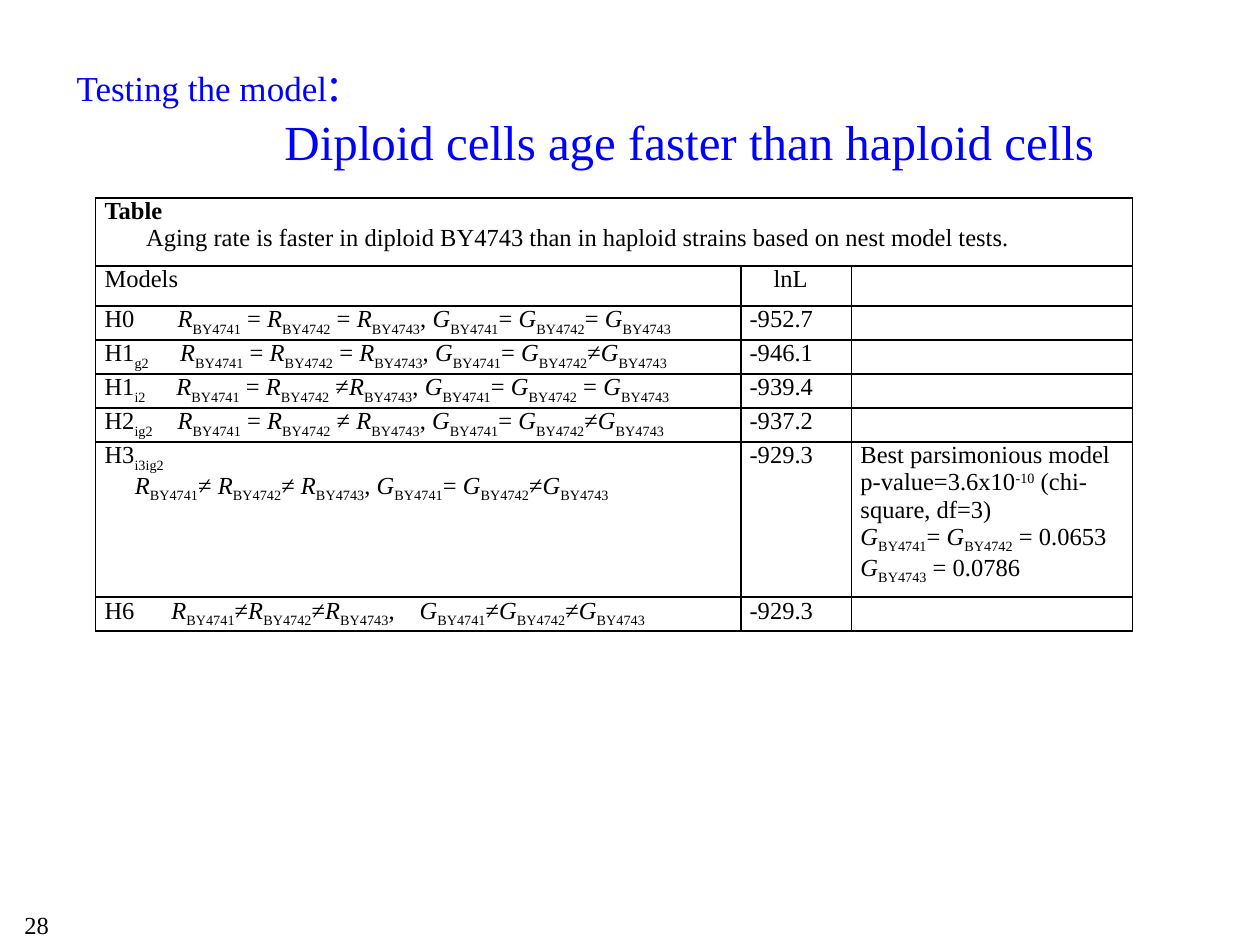
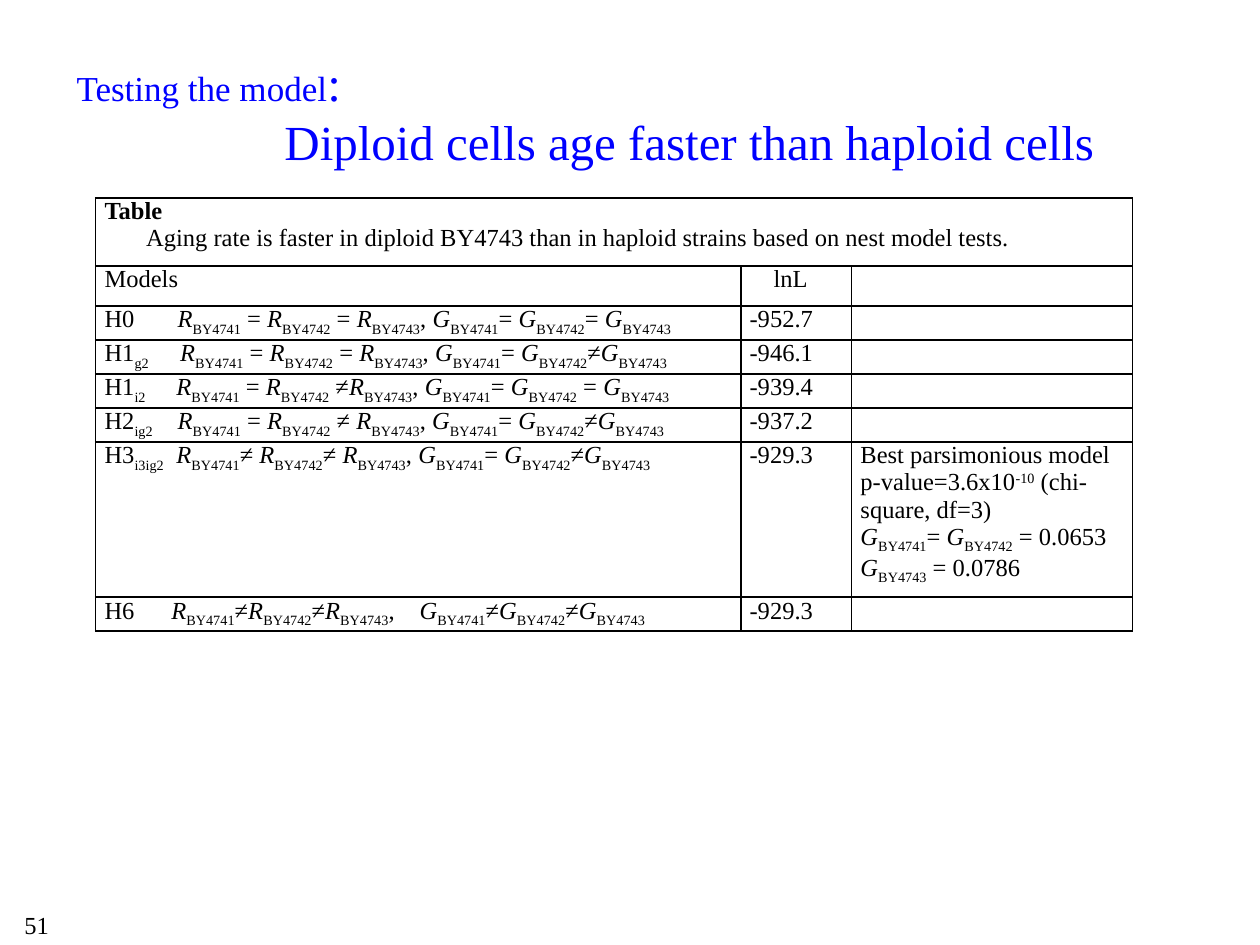
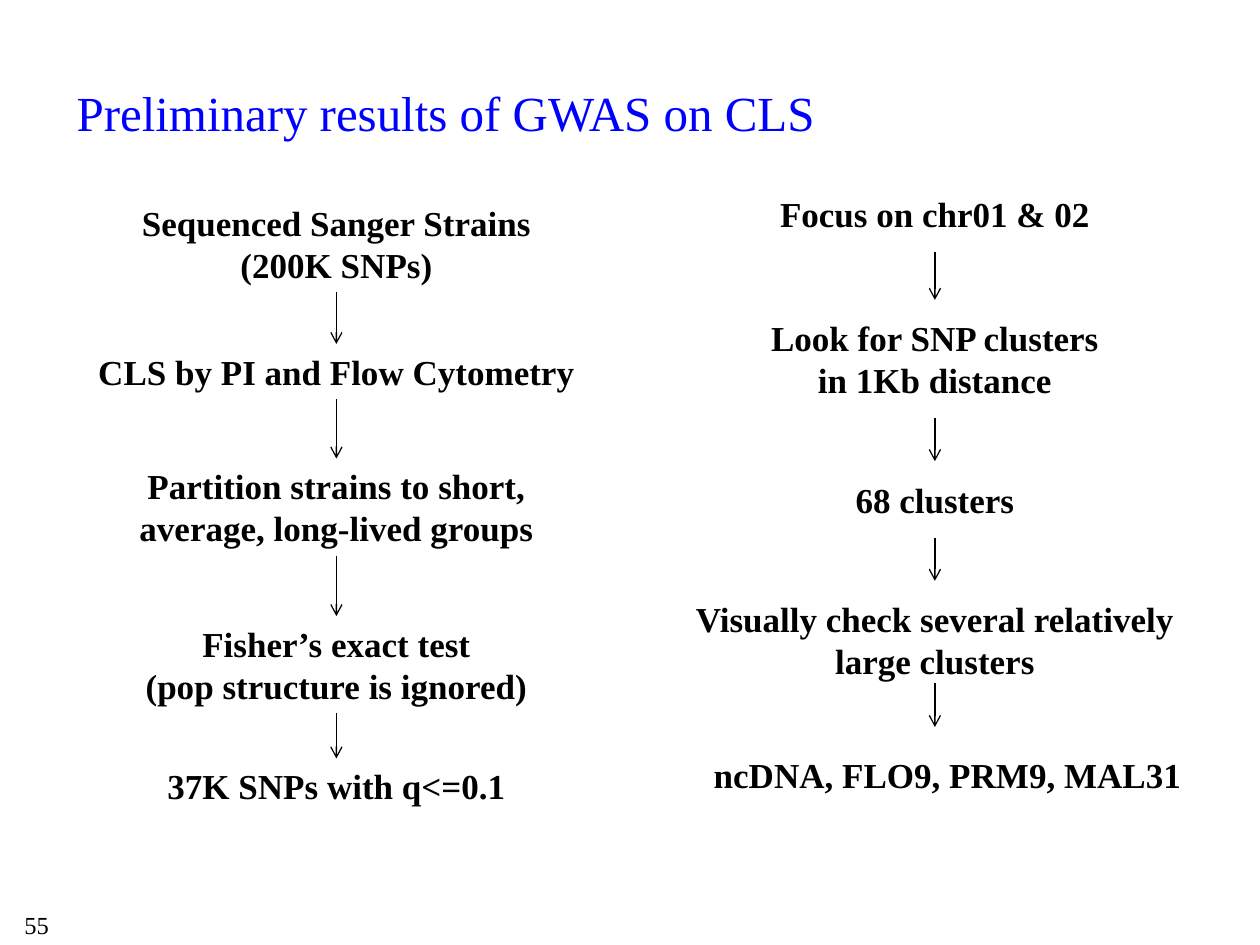
from lxml import etree
from pptx import Presentation
from pptx.dml.color import RGBColor
from pptx.enum.shapes import MSO_CONNECTOR as CONN
from pptx.enum.text import MSO_ANCHOR as ANCHOR, MSO_AUTO_SIZE as AUTOSIZE, PP_ALIGN as ALIGN
from pptx.oxml import parse_xml
from pptx.oxml.ns import nsdecls, qn
from pptx.util import Pt

PX = 9144  # 100 px to the inch
FONT = "Times New Roman"
BLUE, BLACK = "0000FF", "000000"
rgb = RGBColor.from_string


def add_text(s, box, text, size, color=BLACK, bold=False, align=ALIGN.CENTER):
    """Text box with one paragraph per line of text."""
    sp = s.shapes.add_textbox(*[v * PX for v in box])
    tf = sp.text_frame
    tf.word_wrap = True
    tf.text = text
    for p in tf.paragraphs:
        p.alignment = align
        for r in p.runs:
            r.font.name, r.font.size, r.font.bold = FONT, Pt(size), bold
            r.font.color.rgb = rgb(color)
    return sp


def fill_cell(cell, text, indent=0, tabs=()):
    """Cell text: '|' parts runs, '/' is italic, '_' subscript, '^' superscript.
    R1..G3 expand to rate symbols; the indent applies to the last paragraph."""
    for n in "123":
        for symbol in "RG":
            text = text.replace(symbol + n, f"|/{symbol}|_BY474{n}|")
    cell.margin_left = cell.margin_right = 7 * PX
    cell.margin_top = cell.margin_bottom = 0
    cell.fill.background()
    tcPr = cell._tc.get_or_add_tcPr()
    for i, side in enumerate("LRTB"):
        tcPr.insert(i, parse_xml(
            f'<a:ln{side} {nsdecls("a")} w="12700"><a:solidFill>'
            f'<a:srgbClr val="{BLACK}"/></a:solidFill></a:ln{side}>'))
    tf = cell.text_frame
    for i, line in enumerate(text.split("\n")):
        p = tf.add_paragraph() if i else tf.paragraphs[0]
        for part in filter(None, line.split("|")):
            mark = part[0] if part[0] in "/_^" else ""
            r = p.add_run()
            r.text = part[len(mark):]
            f = r.font
            f.name, f.size, f.italic, f.bold = FONT, Pt(14), mark == "/", part == "Table"
            f.color.rgb = rgb(BLACK)
            if mark in ("_", "^"):
                r._r.get_or_add_rPr().set("baseline", "-25000" if mark == "_" else "30000")
        if not line:
            etree.SubElement(p._p, qn("a:endParaRPr")).set("sz", "1400")
    pPr = p._p.get_or_add_pPr()
    if indent:
        pPr.set("marL", str(indent * PX))
        pPr.set("indent", "0")
    if tabs:
        tabLst = etree.SubElement(pPr, qn("a:tabLst"))
        for pos in tabs:
            tab = etree.SubElement(tabLst, qn("a:tab"))
            tab.set("pos", str(pos * PX))
            tab.set("algn", "l")


prs = Presentation()
prs.slide_width, prs.slide_height = 1000 * PX, 750 * PX

# Page number and title on every slide
TEST_TITLE = "Testing the model\nDiploid cells age faster than haploid cells"
slides = []
for number, title in [("28", TEST_TITLE), ("51", TEST_TITLE),
                      ("55", "Preliminary results of GWAS on CLS")]:
    s = prs.slides.add_slide(prs.slide_layouts[6])
    add_text(s, (-45, 717, 148, 33), number, 14)
    sp = add_text(s, (51, 26, 850, 125), title, 28, BLUE, align=ALIGN.LEFT)
    sp.text_frame.vertical_anchor = ANCHOR.MIDDLE
    slides.append(s)
    if title == TEST_TITLE:
        lead, main = sp.text_frame.paragraphs
        lead.runs[0].font.size = Pt(20)
        r = lead.add_run()
        r.text = ":"
        r.font.name, r.font.size = FONT, Pt(28)
        r.font.color.rgb = rgb(BLUE)
        main._p.get_or_add_pPr().set("marL", str(165 * PX))

# Model table on the first two slides; they differ in the H3 cell
BEST = ("Best parsimonious model\np-value=3.6x10|^-10| (chi-square, df=3)\n"
        "G1= G2 = 0.0653\nG3 = 0.0786")
H3_CELLS = [("H3|_i3ig2|\nR1≠ R2≠ R3, G1= G2≠G3", 24),
            ("H3|_i3ig2|\tR1≠ R2≠ R3, G1= G2≠G3", 0)]
COL_WIDTHS = [512, 88, 223]
ROW_HEIGHTS = [54, 32, 27, 27, 27, 27, 107, 27]

for s, (h3, h3_indent) in zip(slides, H3_CELLS):
    # model, indent, tab stop of the formula, lnL, remark
    models = [
        ("H0\tR1 = R2 = R3, G1= G2= G3", 0, 58, "-952.7", ""),
        ("H1|_g2|\tR1 = R2 = R3, G1= G2≠G3", 0, 60, "-946.1", ""),
        ("H1|_i2|\tR1 = R2 ≠R3, G1= G2 = G3", 0, 57, "-939.4", ""),
        ("H2|_ig2|\tR1 = R2 ≠ R3, G1= G2≠G3", 0, 58, "-937.2", ""),
        (h3, h3_indent, 57, "-929.3", BEST),
        ("H6\tR1≠R2≠R3,\tG1≠G2≠G3", 0, 53, "-929.3", ""),
    ]
    table = s.shapes.add_table(len(ROW_HEIGHTS), len(COL_WIDTHS), 76 * PX, 157 * PX,
                               sum(COL_WIDTHS) * PX, sum(ROW_HEIGHTS) * PX).table
    table.first_row = table.horz_banding = False
    for col, width in zip(table.columns, COL_WIDTHS):
        col.width = width * PX
    for row, height in zip(table.rows, ROW_HEIGHTS):
        row.height = height * PX

    # Caption and header rows
    table.cell(0, 0).merge(table.cell(0, 2))
    fill_cell(table.cell(0, 0), "Table\nAging rate is faster in diploid BY4743 than in "
              "haploid strains based on nest model tests.", 33)
    for c in (1, 2):
        fill_cell(table.cell(0, c), "")
    for c, (head, indent) in enumerate([("Models", 0), ("lnL", 19), ("", 0)]):
        fill_cell(table.cell(1, c), head, indent)

    # One row per model
    for i, (model, indent, tab, lnl, remark) in enumerate(models, 2):
        fill_cell(table.cell(i, 0), model, indent, (tab, 250))
        fill_cell(table.cell(i, 1), lnl)
        fill_cell(table.cell(i, 2), remark)

# GWAS workflow: two columns of steps
s = slides[2]
LEFT_STEPS = [
    (65, 155, 404, 77, "Sequenced Sanger Strains\n(200K SNPs)"),
    (65, 273, 404, 44, "CLS by PI and Flow Cytometry"),
    (65, 364, 404, 77, "Partition strains to short, average, long-lived groups"),
    (65, 489, 404, 77, "Fisher’s exact test\n(pop structure is ignored)"),
    (38, 602, 458, 44, "37K SNPs with q<=0.1"),
]
RIGHT_STEPS = [
    (540, 148, 404, 44, "Focus on chr01 & 02"),
    (540, 246, 404, 77, "Look for SNP clusters\nin 1Kb distance"),
    (540, 375, 404, 44, "68 clusters"),
    (540, 469, 404, 77, "Visually check several relatively large clusters"),
    (550, 593, 404, 44, "ncDNA, FLO9, PRM9, MAL31"),
]
boxes = []
for *box, text in LEFT_STEPS + RIGHT_STEPS:
    sp = add_text(s, box, text, 20, bold=True)
    sp.text_frame.auto_size = AUTOSIZE.SHAPE_TO_FIT_TEXT
    boxes.append(sp)

# Arrows: joined to the steps on the left, free in the gaps on the right
arrows = []
for upper, lower in zip(boxes[:4], boxes[1:5]):
    cx = s.shapes.add_connector(CONN.STRAIGHT, 0, 0, 0, 0)
    cx.begin_connect(upper, 2)
    cx.end_connect(lower, 0)
    arrows.append(cx)
for top, bottom in [(200, 238), (332, 366), (427, 461), (542, 577)]:
    arrows.append(s.shapes.add_connector(CONN.STRAIGHT, 742 * PX, top * PX,
                                         742 * PX, bottom * PX))
for cx in arrows:
    cx.line.color.rgb = rgb(BLACK)
    cx.line.width = Pt(0.75)
    etree.SubElement(cx.line._get_or_add_ln(), qn("a:tailEnd")).set("type", "arrow")
    etree.SubElement(cx._element.spPr, qn("a:effectLst"))

prs.save("out.pptx")
